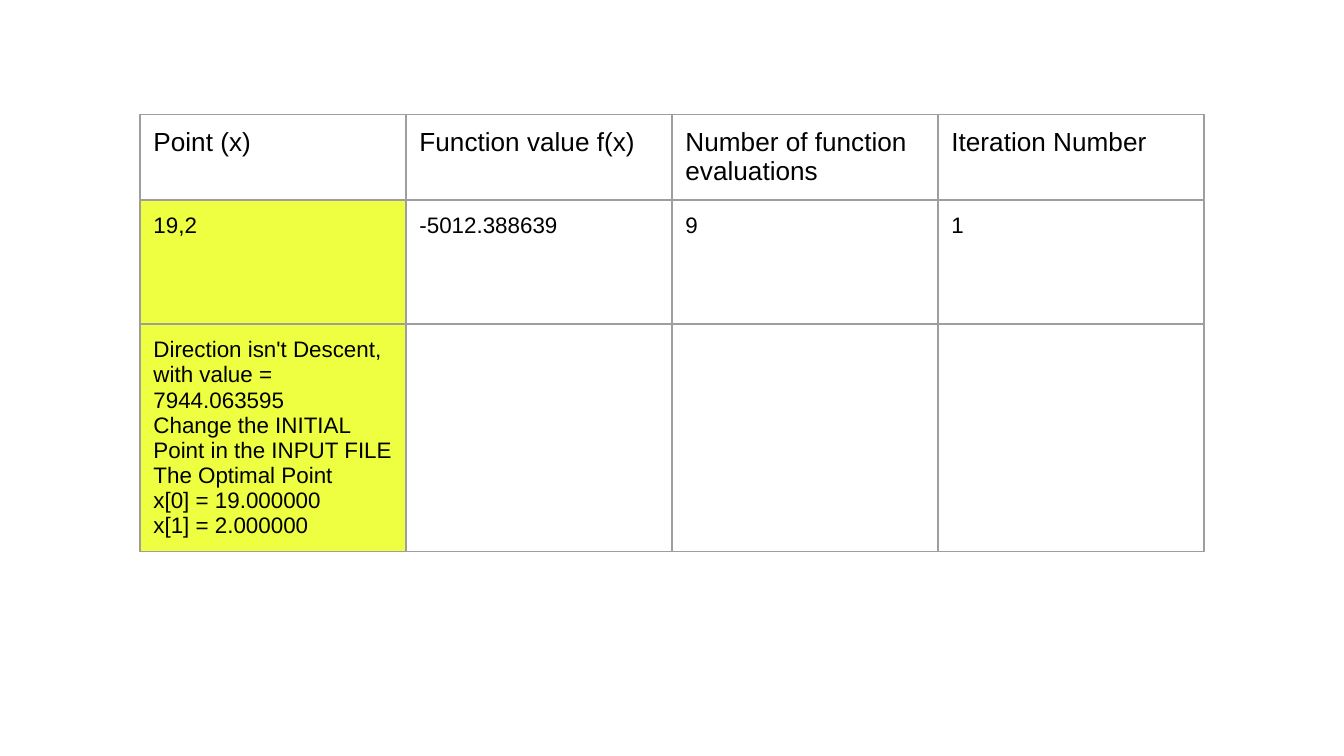
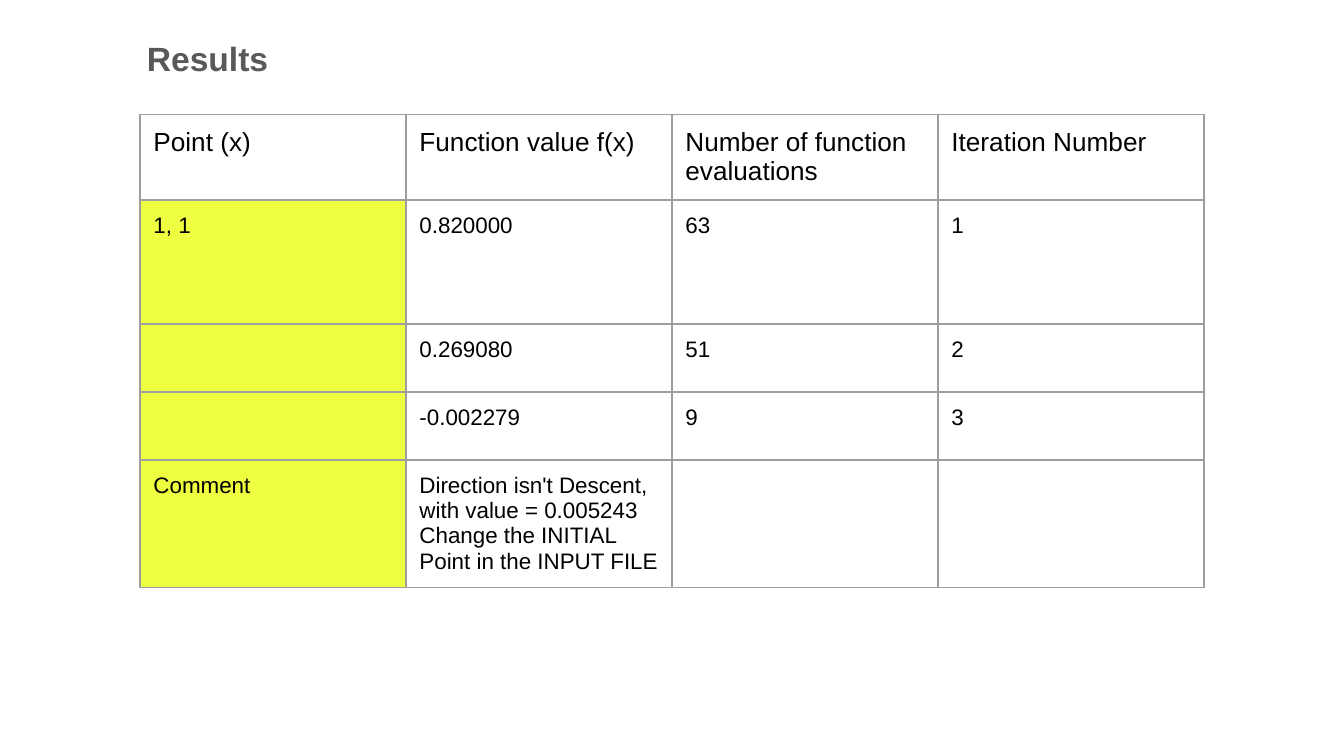
from lxml.etree import SubElement as Sub
from pptx import Presentation
from pptx.dml.color import RGBColor as RGB
from pptx.enum.text import MSO_ANCHOR as Anchor, MSO_AUTO_SIZE as Auto, PP_ALIGN as Align
from pptx.oxml.ns import qn
from pptx.util import Pt

HUES = {"text": "000000", "title": "595959", "mark": "EEFF41", "line": "9E9E9E"}
FONT = "Arial"
PAD = Pt(7.2)
HEAD = ["Point (x)", "Function value f(x)", "Number of function evaluations", "Iteration Number"]
HINT = "Change the INITIAL Point in the INPUT FILE"

# Each slide: its title, then the rows below the header
SLIDES = [
    ("", [
        ["19,2", "-5012.388639", "9", "1"],
        ["Direction isn't Descent, with value = 7944.063595\n" + HINT
         + "\nThe Optimal Point\nx[0] = 19.000000\nx[1] = 2.000000", "", "", ""],
    ]),
    ("Results", [
        ["1, 1", "0.820000", "63", "1"],
        ["", "0.269080", "51", "2"],
        ["", "-0.002279", "9", "3"],
        ["Comment", "Direction isn't Descent, with value = 0.005243\n" + HINT, "", ""],
    ]),
]


def style(frame, size, hue, bold=False):
    for para in frame.paragraphs:
        para.alignment = Align.LEFT
        for run in para.runs:
            font = run.font
            font.name, font.size, font.bold = FONT, Pt(size), bold
            font.color.rgb = RGB.from_string(HUES[hue])


def edge(cell):
    """Draw a thin line on all four sides; call before setting the fill."""
    props = cell._tc.get_or_add_tcPr()
    for side in ("lnL", "lnR", "lnT", "lnB"):
        line = Sub(props, qn("a:" + side), w=str(Pt(0.75)))
        Sub(Sub(line, qn("a:solidFill")), qn("a:srgbClr"), val=HUES["line"])


deck = Presentation()
deck.slide_width, deck.slide_height = Pt(720), Pt(405)

for title, body in SLIDES:
    slide = deck.slides.add_slide(deck.slide_layouts[5 if title else 6])
    if title:
        box = slide.shapes.title
        box.left, box.top, box.width, box.height = Pt(71.5), Pt(13), Pt(327), Pt(36)
        frame = box.text_frame
        frame.text = title
        frame.word_wrap, frame.auto_size = True, Auto.NONE
        frame.vertical_anchor = Anchor.TOP
        frame.margin_left = frame.margin_right = PAD
        frame.margin_top = frame.margin_bottom = PAD
        style(frame, 18, "title", True)

    rows = [HEAD] + body
    table = slide.shapes.add_table(len(rows), len(HEAD), Pt(75), Pt(61.25), Pt(570), Pt(200)).table
    table.first_row = table.horz_banding = False
    for col in table.columns:
        col.width = Pt(142.5)
    for i, texts in enumerate(rows):
        table.rows[i].height = Pt(66.5 if i == 1 else 30)
        for j, text in enumerate(texts):
            cell = table.cell(i, j)
            cell.margin_left = cell.margin_right = PAD
            cell.margin_top = cell.margin_bottom = PAD
            edge(cell)
            if i and j == 0:
                cell.fill.solid()
                cell.fill.fore_color.rgb = RGB.from_string(HUES["mark"])
            else:
                cell.fill.background()
            if text:
                cell.text_frame.text = text
                style(cell.text_frame, 12 if i else 14, "text")

deck.save("out.pptx")
